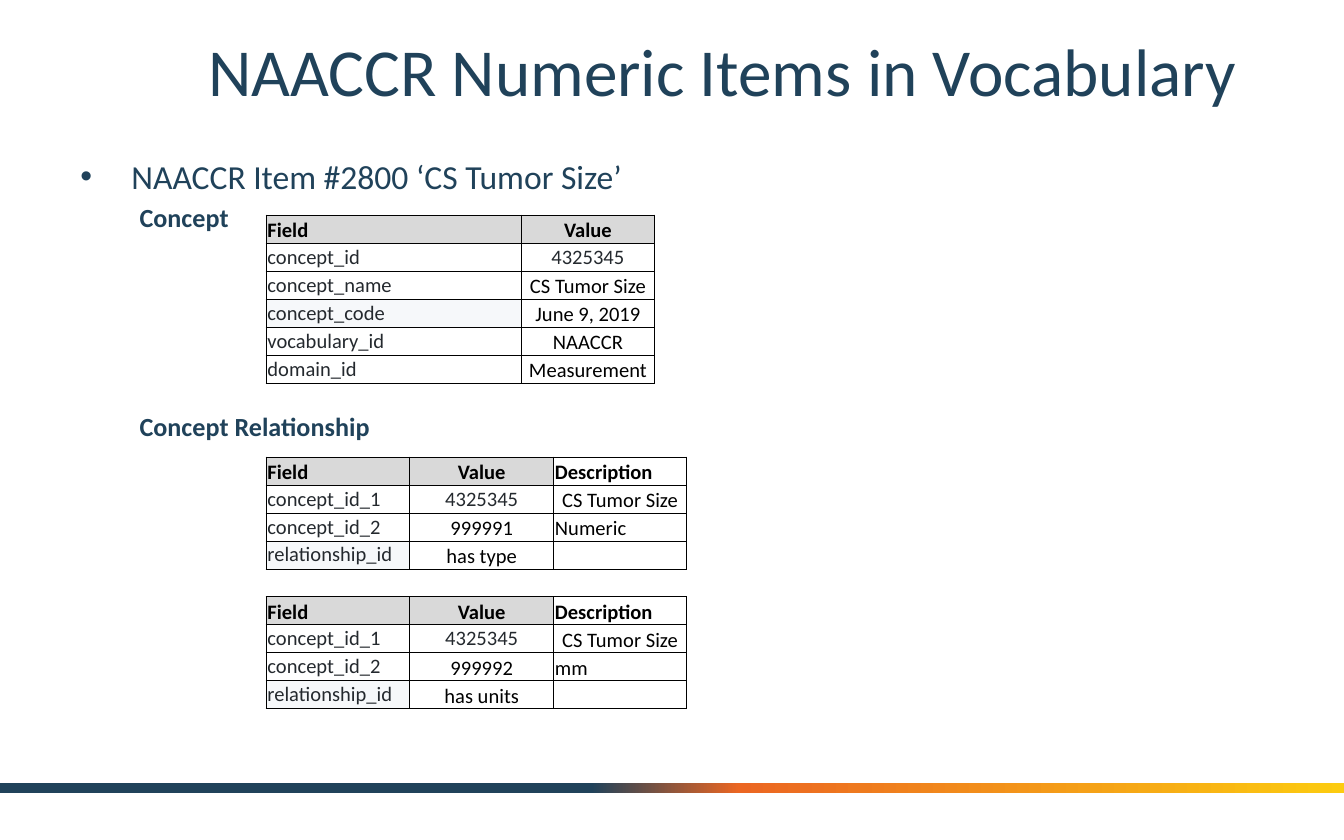
"""Build the slide on numeric items in the vocabulary."""
from dataclasses import dataclass

from lxml import etree
from pptx import Presentation
from pptx.dml.color import RGBColor
from pptx.enum import shapes, text
from pptx.oxml import ns
from pptx.util import Inches, Pt


@dataclass(frozen=True)
class Theme:
    font: str = "Calibri"
    navy: str = "20425A"
    orange: str = "EB6622"
    yellow: str = "FCCB10"
    black: str = "000000"
    ink: str = "24292E"
    grey: str = "D9D9D9"
    white: str = "FFFFFF"
    pale: str = "F6F8FA"
    title: int = 36
    item: int = 18
    label: int = 14
    cell: int = 11
    border: float = 0.5


@dataclass(frozen=True)
class Look:
    color: str
    fill: str | None = None
    centered: bool = False
    bold: bool = False
    bottom: bool = True
    sides: bool = True


@dataclass(frozen=True)
class Cell:
    text: str
    look: Look


@dataclass(frozen=True)
class Grid:
    left: float
    top: float
    cols: list[float]
    rows: list[list[Cell]]


@dataclass(frozen=True)
class Line:
    text: str
    size: int
    bold: bool = False
    before: float = 0
    margin: float = 0
    bullet: bool = False


T = Theme()
ROW_HEIGHT = Inches(1.25) // 6
FIELD_HEAD = Look(T.black, T.grey, bold=True)
VALUE_HEAD = Look(T.black, T.grey, centered=True, bold=True)
NOTE_HEAD = Look(T.black, bold=True)
FIELD = Look(T.ink, T.white, bottom=False)
SHADED = Look(T.ink, T.pale, bottom=False)
CONCEPT_ID = Look(T.ink, T.white, centered=True, bottom=False)
VALUE = Look(T.black, centered=True)
NOTE = Look(T.black)
GAP = Look(T.black, sides=False)
HEAD = [Cell("Field", FIELD_HEAD), Cell("Value", VALUE_HEAD)]


def add_run(p, content: str, size: int, color: str, bold: bool = False) -> None:
    """Add one styled run to a paragraph."""
    r = p.add_run()
    r.text = content
    r.font.name = T.font
    r.font.size = Pt(size)
    r.font.bold = bold
    r.font.color.rgb = RGBColor.from_string(color)


def add_color(parent, color: str) -> None:
    """Add an RGB colour element."""
    etree.SubElement(parent, ns.qn("a:srgbClr"), val=color)


def add_box(s, left: float, top: float, width: float, height: float):
    """Add a wrapping text box and return its frame."""
    tf = s.shapes.add_textbox(*map(Inches, (left, top, width, height))).text_frame
    tf.word_wrap = True
    return tf


def add_bar(s, top: float, height: float, stops: list[tuple[int, str]]) -> None:
    """Add the full-width gradient bar."""
    sp = s.shapes.add_shape(shapes.MSO_SHAPE.RECTANGLE, 0, Inches(top), Inches(10), Inches(height))
    sp.shadow.inherit = False
    sp.line.fill.background()
    sp.fill.gradient()
    sp.fill.gradient_angle = 0
    stop_list = next(sp._element.iter(ns.qn("a:gsLst")))
    for stop in list(stop_list):
        stop_list.remove(stop)
    for percent, color in stops:
        add_color(etree.SubElement(stop_list, ns.qn("a:gs"), pos=str(percent * 1000)), color)


def add_lines(tf, lines: list[Line]) -> None:
    """Write the body lines as paragraphs."""
    for i, line in enumerate(lines):
        p = tf.add_paragraph() if i else tf.paragraphs[0]
        p.space_before = Pt(line.before)
        ppr = p._p.get_or_add_pPr()
        ppr.set("marL", str(Inches(line.margin)))
        ppr.set("indent", str(-Inches(line.margin) if line.bullet else 0))
        if line.bullet:
            etree.SubElement(ppr, ns.qn("a:buFont"), typeface="Arial")
            etree.SubElement(ppr, ns.qn("a:buChar"), char="•")
        add_run(p, line.text, line.size, T.navy, line.bold)


def add_borders(cell, sides: bool) -> None:
    """Draw the cell borders, leaving the sides open where asked."""
    tcpr = cell._tc.get_or_add_tcPr()
    for edge in "LRTB":
        ln = etree.SubElement(tcpr, ns.qn(f"a:ln{edge}"), w=str(Pt(T.border)))
        if edge in "TB" or sides:
            add_color(etree.SubElement(ln, ns.qn("a:solidFill")), T.black)
        else:
            etree.SubElement(ln, ns.qn("a:noFill"))


def fill_cell(cell, data: Cell) -> None:
    """Style a table cell and write its text."""
    look = data.look
    add_borders(cell, look.sides)
    if look.fill:
        cell.fill.solid()
        cell.fill.fore_color.rgb = RGBColor.from_string(look.fill)
    else:
        cell.fill.background()
    cell.margin_left = cell.margin_right = cell.margin_top = Inches(0.01)
    cell.margin_bottom = 0
    cell.vertical_anchor = text.MSO_ANCHOR.BOTTOM if look.bottom else text.MSO_ANCHOR.TOP
    p = cell.text_frame.paragraphs[0]
    p.alignment = text.PP_ALIGN.CENTER if look.centered else text.PP_ALIGN.LEFT
    if data.text:
        add_run(p, data.text, T.cell, look.color, look.bold)
    else:
        etree.SubElement(p._p, ns.qn("a:endParaRPr"), sz=str(T.cell * 100))


def add_grid(s, grid: Grid) -> None:
    """Add a bordered table."""
    count = len(grid.rows)
    table = s.shapes.add_table(count, len(grid.cols), Inches(grid.left), Inches(grid.top),
                               Inches(sum(grid.cols)), ROW_HEIGHT * count).table
    table.first_row = table.horz_banding = False
    for column, width in zip(table.columns, grid.cols):
        column.width = Inches(width)
    for row, cells in zip(table.rows, grid.rows):
        row.height = ROW_HEIGHT
        for cell, data in zip(row.cells, cells):
            fill_cell(cell, data)


def relationship(target: str, note: str, kind: str) -> list[list[Cell]]:
    """Return the rows of one concept relationship."""
    return [
        HEAD + [Cell("Description", NOTE_HEAD)],
        [Cell("concept_id_1", FIELD), Cell("4325345", CONCEPT_ID), Cell("CS Tumor Size", VALUE)],
        [Cell("concept_id_2", FIELD), Cell(target, VALUE), Cell(note, NOTE)],
        [Cell("relationship_id", SHADED), Cell(kind, VALUE), Cell("", NOTE)],
    ]


prs = Presentation()
prs.slide_width, prs.slide_height = Inches(10), Inches(6.25)
s = prs.slides.add_slide(prs.slide_layouts[6])
add_bar(s, 5.83, 0.07, [(44, T.navy), (55, T.orange), (100, T.yellow)])

tf = add_box(s, 1.25, 0.14, 8.25, 0.76)
tf.vertical_anchor = text.MSO_ANCHOR.MIDDLE
tf.paragraphs[0].alignment = text.PP_ALIGN.CENTER
add_run(tf.paragraphs[0], "NAACCR Numeric Items in Vocabulary", T.title, T.navy)

add_lines(add_box(s, 0.5, 1.11, 9, 4.47), [
    Line("NAACCR Item #2800 ‘CS Tumor Size’", T.item, margin=0.38, bullet=True),
    Line("Concept", T.label, bold=True, before=2.8, margin=0.44),
    Line("Concept Relationship", T.label, bold=True, before=95, margin=0.44),
])

concept = [("concept_id", FIELD, "4325345", CONCEPT_ID), ("concept_name", FIELD, "CS Tumor Size", VALUE),
           ("concept_code", SHADED, "June 9, 2019", VALUE), ("vocabulary_id", FIELD, "NAACCR", VALUE),
           ("domain_id", FIELD, "Measurement", VALUE)]
add_grid(s, Grid(1.98, 1.6, [1.9, 0.99], [HEAD] + [[Cell(f, a), Cell(v, b)] for f, a, v, b in concept]))
add_grid(s, Grid(1.98, 3.4, [1.07, 1.07, 0.99], relationship("999991", "Numeric", "has type")
                 + [[Cell("", GAP)] * 3] + relationship("999992", "mm", "has units")))
prs.save("out.pptx")
